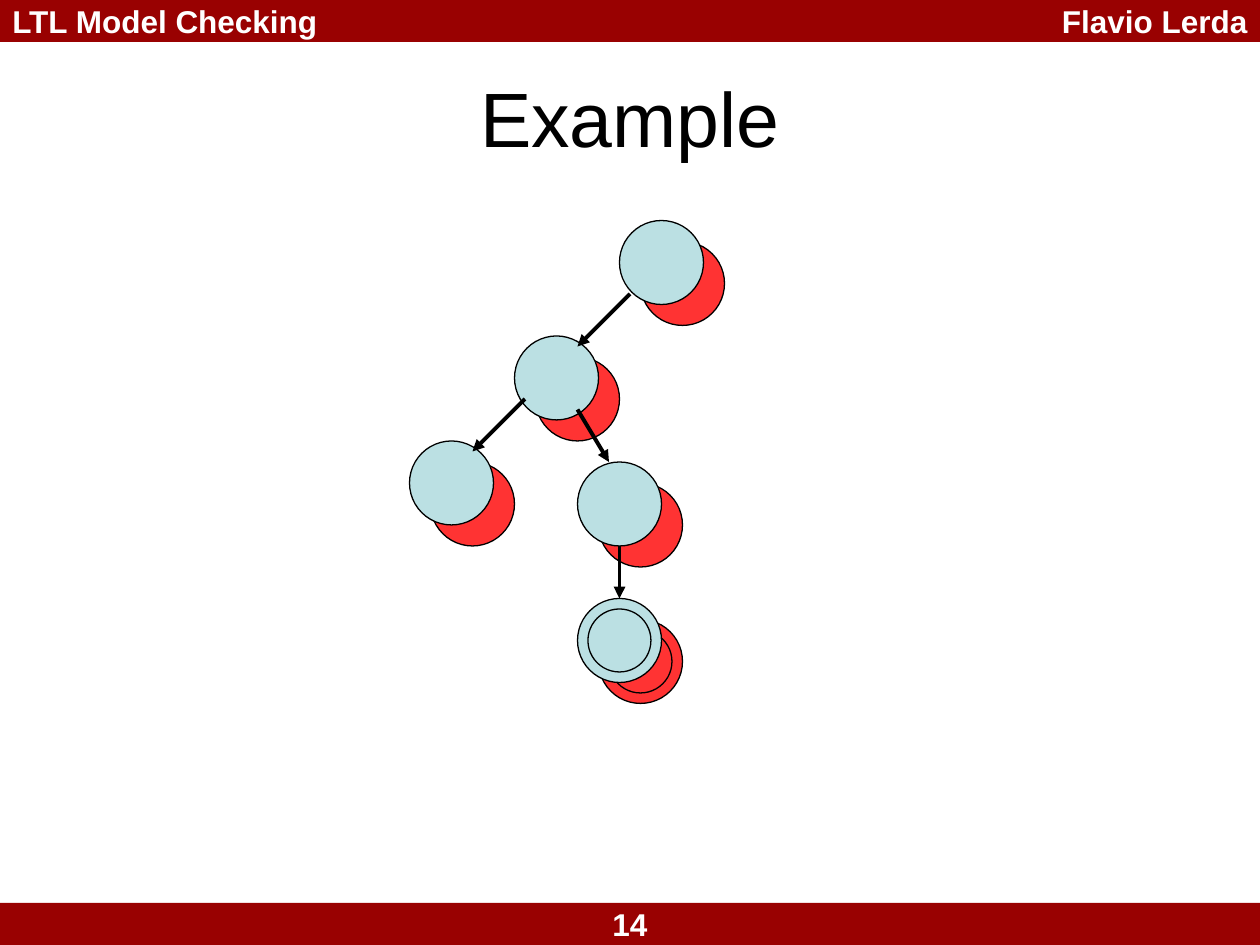
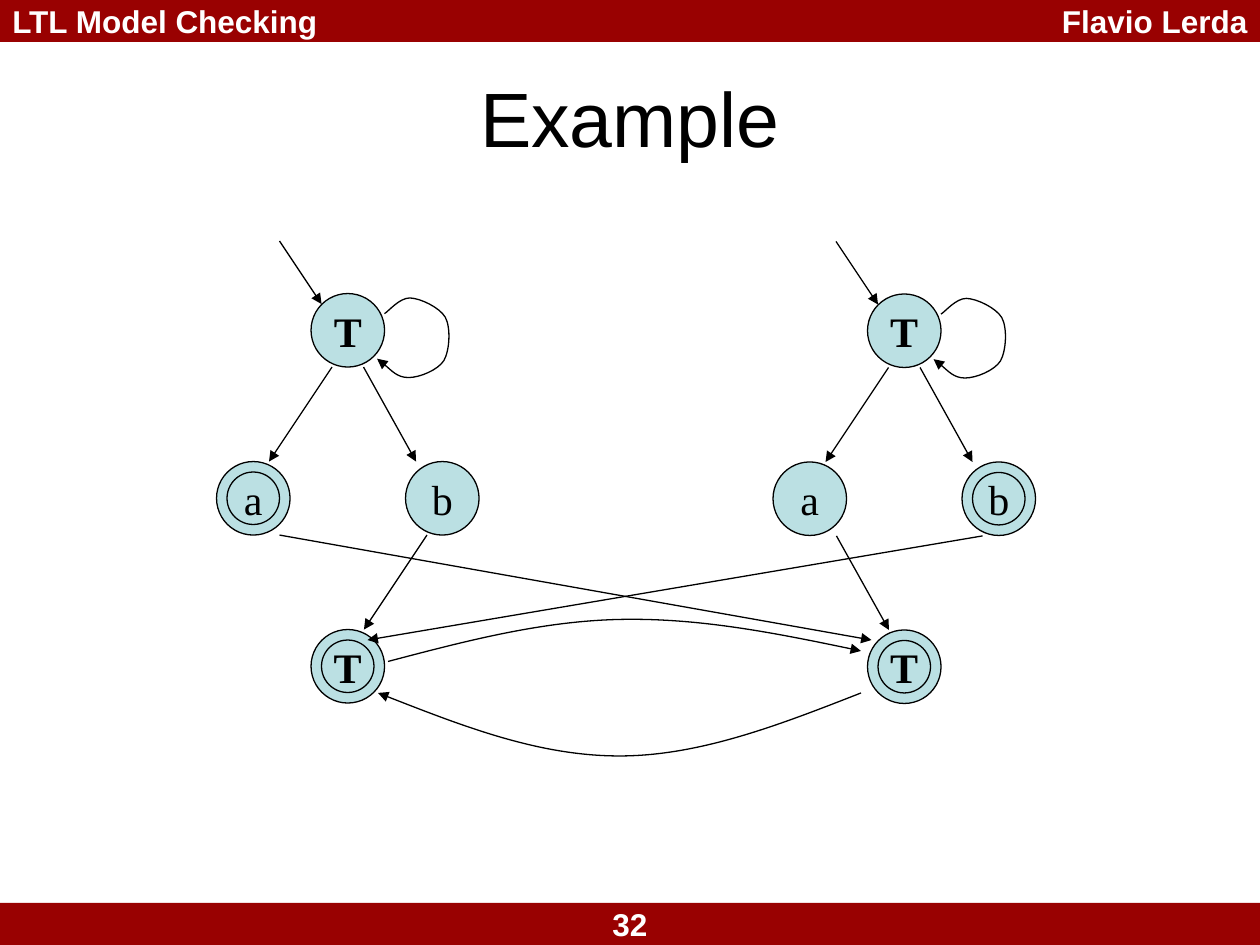
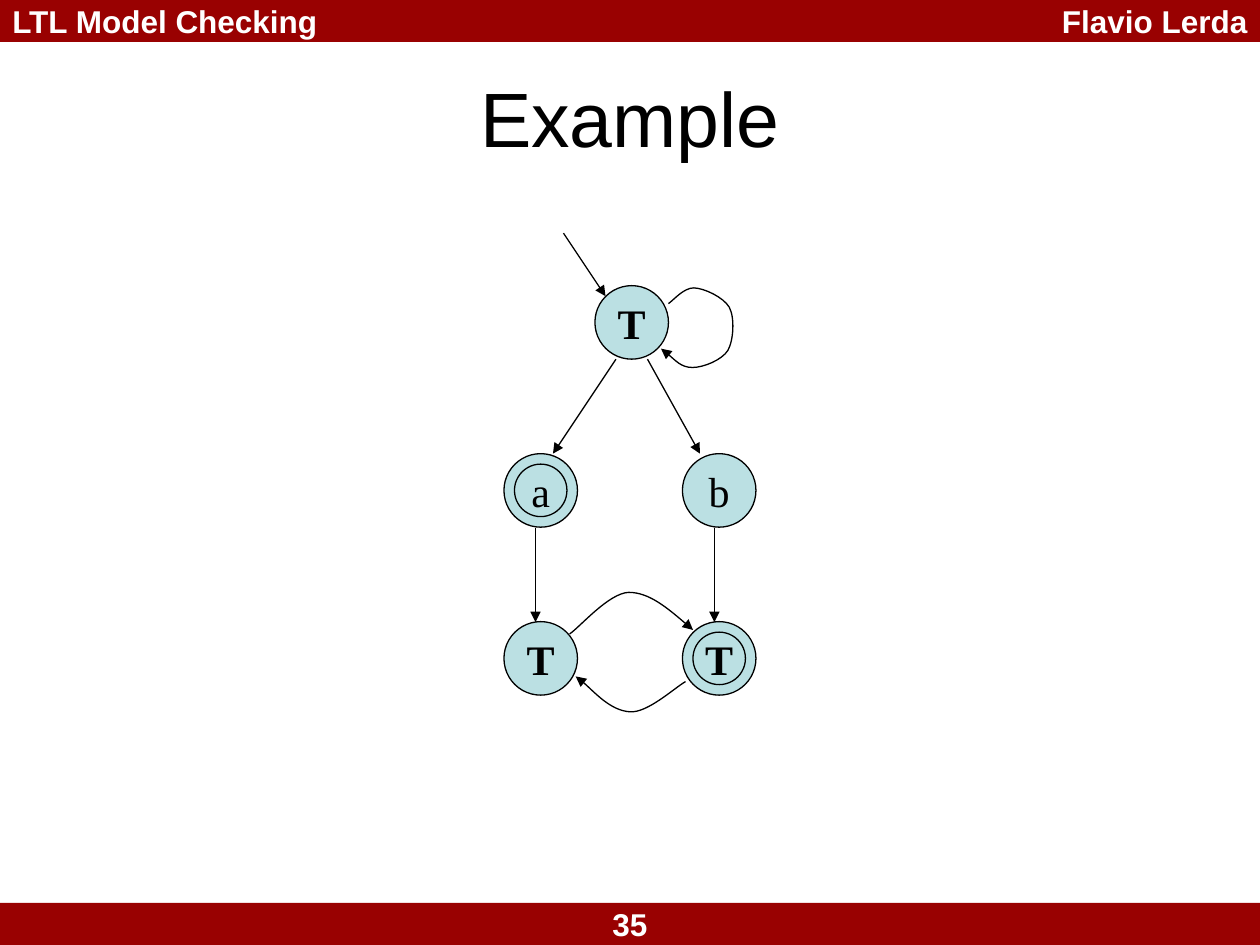
from lxml import etree
from pptx import Presentation
from pptx import util as u
from pptx.dml import color
from pptx.enum import shapes, text
from pptx.oxml import ns

Pt = u.Pt
MAROON, WHITE, BLACK = "990101", "FFFFFF", "000000"
BLUE, RED = "BBE0E3", "FF3333"
LEFT, CENTER, RIGHT = text.PP_ALIGN.LEFT, text.PP_ALIGN.CENTER, text.PP_ALIGN.RIGHT
WIDTH, HEIGHT, BAND = 720, 540, 24
RING_GAP = 6
STATE = 42


def rgb(value):
    return color.RGBColor.from_string(value)


def write(tf, content, size=18, fill=WHITE, bold=True, font="Arial", align=CENTER, wrap=True):
    tf.word_wrap = wrap
    tf.vertical_anchor = text.MSO_ANCHOR.MIDDLE
    p = tf.paragraphs[0]
    p.alignment = align
    r = p.add_run()
    r.text = content
    r.font.name = font
    r.font.size = Pt(size)
    r.font.bold = bold
    r.font.color.rgb = rgb(fill)


tree = {"number": "14", "width": 2.25, "circles": [], "curves": [], "lines": [
    (360, 168, 330, 198), (300, 228, 270, 258), (330, 234, 348, 264), (354, 312, 354, 342)]}
product = {"number": "32", "width": 0.75, "circles": [], "lines": [
    (159.75, 305.75, 498, 365.75), (244, 305.75, 208, 359.75),
    (478, 306.25, 508, 360), (561.5, 306.25, 210, 365.75)],
    "curves": [
        [(221.75, 378), (265.5, 366.5), (309, 355), (354, 354),
         (399, 353), (445.5, 362.25), (492, 372)],
        [(492, 396), (446, 414), (400, 432), (354, 432),
         (308, 432), (262, 414), (216, 396)]]}
reduced = {"number": "35", "width": 0.75, "circles": [], "lines": [
    (306, 301.5, 306, 355.5), (408.25, 301.5, 408.25, 355.5)],
    "curves": [
        [(325.5, 362.25), (331.25, 358.5), (347.75, 339), (359.25, 338.5),
         (370.75, 338.5), (383.75, 349.25), (396, 360)],
        [(391.75, 389.5), (385.25, 393.25), (370, 407.5), (360, 406.75),
         (348.75, 406), (334, 389.5), (329, 386.5)]]}

for x, y, accepting in [(234, 252, False), (294, 192, False), (330, 264, False),
                        (354, 126, False), (330, 342, True)]:
    for fill, shift in [(RED, 12), (BLUE, 0)]:
        tree["circles"].append((x + shift, y + shift, 48, fill, "", accepting))

entry_lines = [(-18, -30, 6, 6), (12, 42, -24, 96), (30, 42, 60, 96)]
self_loop = [(0, 0), (2.5, -1.5), (8.5, -9), (14.5, -9), (20.75, -8.75), (31.5, -3.5),
             (34.75, 2), (38, 8), (37.25, 21), (34, 26.75), (30.5, 32.25), (20, 36.5),
             (13.75, 36.5), (7.25, 36.5), (-0.5, 28.25), (-4.25, 25.75)]
automata = [
    (product, 177.75, 167.75, 11.5,
     [("T", 0, 0, False), ("a", -54, 96, True), ("b", 54, 96, False), ("T", 0, 192, True)]),
    (product, 495.75, 168, 11.5,
     [("T", 0, 0, False), ("a", -54, 96, False), ("b", 54, 96, True), ("T", 0, 192, True)]),
    (reduced, 340, 163.25, 10.25,
     [("T", 0, 0, False), ("a", -52, 96, True), ("b", 50, 96, False),
      ("T", -52, 192, False), ("T", 50, 192, True)]),
]
for graph, x, y, loop_y, states in automata:
    for label, dx, dy, accepting in states:
        graph["circles"].append((x + dx, y + dy, STATE, BLUE, label, accepting))
    for x1, y1, x2, y2 in entry_lines:
        graph["lines"].append((x + x1, y + y1, x + x2, y + y2))
    graph["curves"].append([(x + STATE + dx, y + loop_y + dy) for dx, dy in self_loop])

prs = Presentation()
prs.slide_width, prs.slide_height = Pt(WIDTH), Pt(HEIGHT)

for graph in [tree, product, reduced]:
    s = prs.slides.add_slide(prs.slide_layouts[5])

    for top, content, align in [(0, "Flavio Lerda", RIGHT),
                                (HEIGHT - BAND, graph["number"], CENTER)]:
        sp = s.shapes.add_shape(shapes.MSO_SHAPE.RECTANGLE, 0, Pt(top), Pt(WIDTH), Pt(BAND))
        sp.shadow.inherit = False
        sp.fill.solid()
        sp.fill.fore_color.rgb = rgb(MAROON)
        sp.line.fill.background()
        write(sp.text_frame, content, align=align)
    sp = s.shapes.add_textbox(0, 0, Pt(WIDTH), Pt(BAND))
    write(sp.text_frame, "LTL Model Checking", align=LEFT)

    title = s.shapes.title
    title.left, title.top, title.width, title.height = Pt(36), Pt(21.6), Pt(648), Pt(90)
    write(title.text_frame, "Example", size=44, fill=BLACK, bold=False)

    for x, y, size, fill, label, accepting in graph["circles"]:
        for inset in [0, RING_GAP] if accepting else [0]:
            d = Pt(size - 2 * inset)
            sp = s.shapes.add_shape(shapes.MSO_SHAPE.OVAL, Pt(x + inset), Pt(y + inset), d, d)
            sp.shadow.inherit = False
            sp.fill.solid()
            sp.fill.fore_color.rgb = rgb(fill)
            sp.line.color.rgb = rgb(BLACK)
            sp.line.width = Pt(0.75)
        if label:
            write(sp.text_frame, label, size=24, fill=BLACK, bold=label == "T",
                  font="Times New Roman", wrap=False)

    arrows = []
    for ends in graph["lines"]:
        arrows.append(s.shapes.add_connector(shapes.MSO_CONNECTOR.STRAIGHT, *map(Pt, ends)))
    for points in graph["curves"]:
        start, *rest = [(Pt(x), Pt(y)) for x, y in points]
        builder = s.shapes.build_freeform(*start)
        builder.add_line_segments(rest, close=False)
        sp = builder.convert_to_shape()
        sp.fill.background()
        outline = sp.element.find(".//" + ns.qn("a:path"))
        segments = outline.findall(ns.qn("a:lnTo"))
        for i in range(0, len(segments), 3):
            bezier = etree.SubElement(outline, ns.qn("a:cubicBezTo"))
            for segment in segments[i:i + 3]:
                bezier.append(segment[0])
                outline.remove(segment)
        arrows.append(sp)

    for arrow in arrows:
        arrow.line.color.rgb = rgb(BLACK)
        arrow.line.width = Pt(graph["width"])
        ln = arrow.element.find(".//" + ns.qn("a:ln"))
        etree.SubElement(ln, ns.qn("a:tailEnd"), type="triangle")
        etree.SubElement(arrow.element.find(ns.qn("p:spPr")), ns.qn("a:effectLst"))

prs.save("out.pptx")
